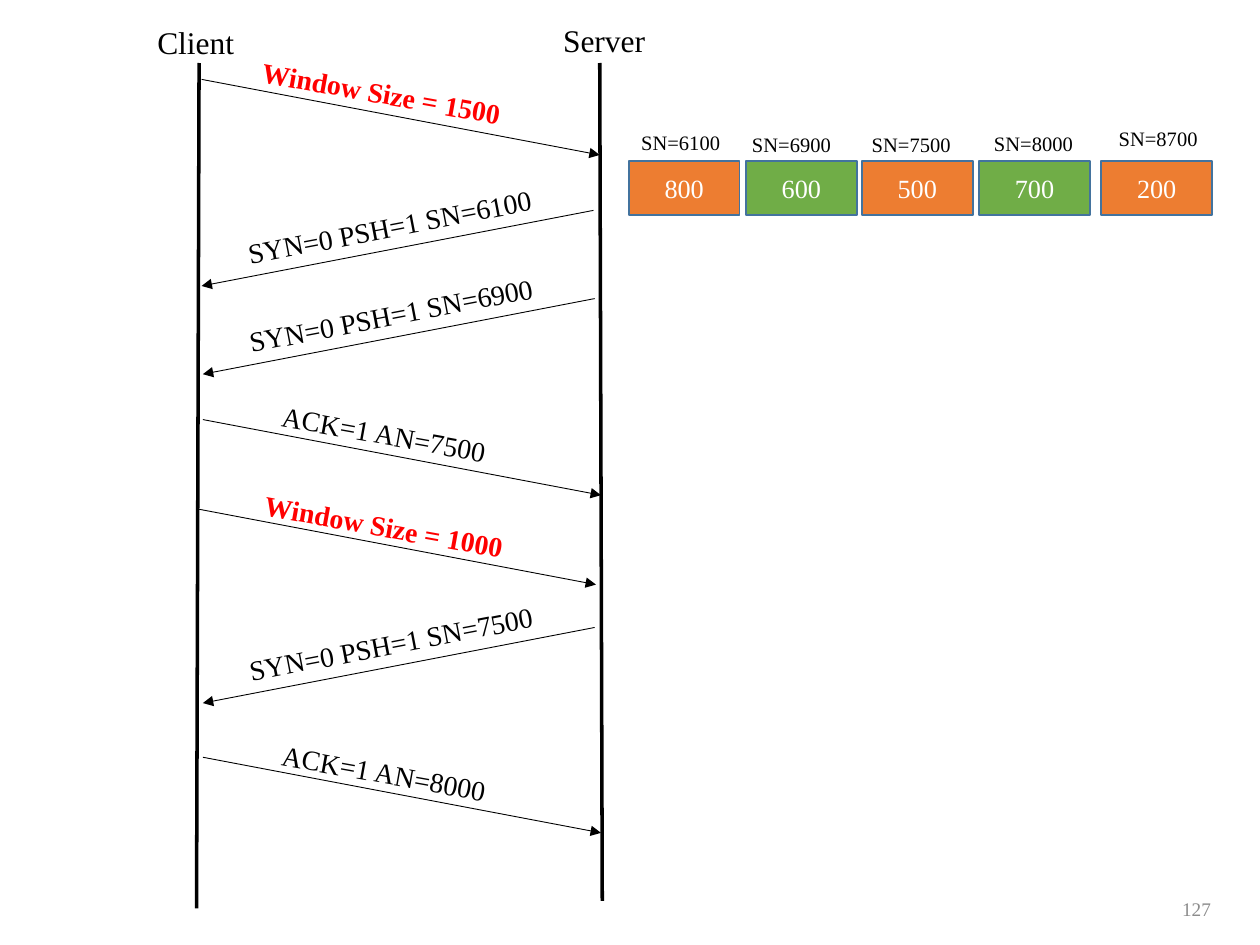
"""Draw a TCP window size exchange between a client and a server."""
from lxml import etree
from pptx import Presentation
from pptx.dml.color import RGBColor
from pptx.enum import shapes, text
from pptx.oxml import ns
from pptx.util import Inches, Pt

BLACK = RGBColor(0x00, 0x00, 0x00)
WHITE = RGBColor(0xFF, 0xFF, 0xFF)
RED = RGBColor(0xFF, 0x00, 0x00)
GRAY = RGBColor(0x8C, 0x8C, 0x8C)
GREEN = RGBColor(0x70, 0xAD, 0x47)
ORANGE = RGBColor(0xED, 0x7D, 0x31)
BLUE = RGBColor(0x43, 0x73, 0x9E)
MID = text.MSO_ANCHOR.MIDDLE
ALIGN = text.PP_ALIGN

deck = Presentation()
deck.slide_width, deck.slide_height = Inches(10), Inches(7.5)
slide = deck.slides.add_slide(deck.slide_layouts[6])


def write(shape, words, size, color, align=ALIGN.LEFT, bold=False):
    para = shape.text_frame.paragraphs[0]
    para.text, para.alignment = words, align
    style = {"name": "Times New Roman", "size": Pt(size), "bold": bold}
    for key, value in style.items():
        setattr(para.font, key, value)
    para.font.color.rgb = color


def draw(start, end, width, arrow=False):
    ends = [Inches(n) for n in (*start, *end)]
    line = slide.shapes.add_connector(shapes.MSO_CONNECTOR.STRAIGHT, *ends)
    line.line.color.rgb, line.line.width = BLACK, Pt(width)
    if arrow:
        tip = etree.SubElement(line.line._get_or_add_ln(), ns.qn("a:tailEnd"))
        tip.set("type", "triangle")
    etree.SubElement(line._element.spPr, ns.qn("a:effectLst"))


draw((1.58, 0.5), (1.56, 7.21), 2)
draw((4.76, 0.5), (4.78, 7.15), 2)

# Each message: words, arrow start, text left, text width, text top
msgs = [
    ("Window Size = 1500", 1.6, 0.63, 1.97, 2.2, 0.56),
    ("SYN=0 PSH=1 SN=6100", 4.71, 1.67, 1.85, 2.51, 1.61),
    ("SYN=0 PSH=1 SN=6900", 4.72, 2.37, 1.86, 2.51, 2.31),
    ("ACK=1 AN=7500", 1.61, 3.33, 2.13, 1.85, 3.26),
    ("Window Size = 1000", 1.57, 4.04, 1.99, 2.2, 4),
    ("SYN=0 PSH=1 SN=7500", 4.72, 4.98, 1.86, 2.51, 4.92),
    ("ACK=1 AN=8000", 1.61, 6.01, 2.13, 1.85, 5.95),
]
labels = [
    ("Client", 1.15, 0.13, 0.9, 0.4, 0, 18, BLACK, False),
    ("Server", 4.37, 0.12, 0.92, 0.4, 0, 18, BLACK, False),
]
for words, x, y, left, width, top in msgs:
    back = words.startswith("SYN")
    loud = words.startswith("Window")
    draw((x, y), (x + (-3.11 if back else 3.16), y + 0.6), 0.5, True)
    labels.append((words, left, top, width, 0.37, 349 if back else 10.2,
                   16, RED if loud else BLACK, loud))

parts = [
    (800, 6100, 4.99, 4.99, 0.98),
    (600, 6900, 5.92, 5.87, 1),
    (500, 7500, 6.84, 6.82, 1),
    (700, 8000, 7.77, 7.79, 0.99),
    (200, 8700, 8.74, 8.78, 0.95),
]
for i, (size, num, x, left, top) in enumerate(parts):
    box = slide.shapes.add_shape(shapes.MSO_SHAPE.RECTANGLE, Inches(x),
                                 Inches(1.28), Inches(0.88), Inches(0.43))
    box.shadow.inherit = False
    box.fill.solid()
    box.fill.fore_color.rgb = GREEN if i % 2 else ORANGE
    box.line.color.rgb, box.line.width = BLUE, Pt(1)
    box.text_frame.vertical_anchor = MID
    write(box, str(size), 15, WHITE, ALIGN.CENTER)
    labels.append((f"SN={num}", left, top, 0.83, 0.3, 0, 11.7, BLACK, False))

for words, x, y, width, height, turn, size, color, bold in labels:
    box = slide.shapes.add_textbox(*map(Inches, (x, y, width, height)))
    box.rotation = turn
    box.text_frame.word_wrap = False
    box.text_frame.auto_size = text.MSO_AUTO_SIZE.SHAPE_TO_FIT_TEXT
    write(box, words, size, color, bold=bold)

page = slide.shapes.add_textbox(*map(Inches, (7.46, 7.01, 2.25, 0.4)))
page.text_frame.word_wrap = True
page.text_frame.vertical_anchor = MID
write(page, "127", 11, GRAY, ALIGN.RIGHT)

deck.save("out.pptx")
